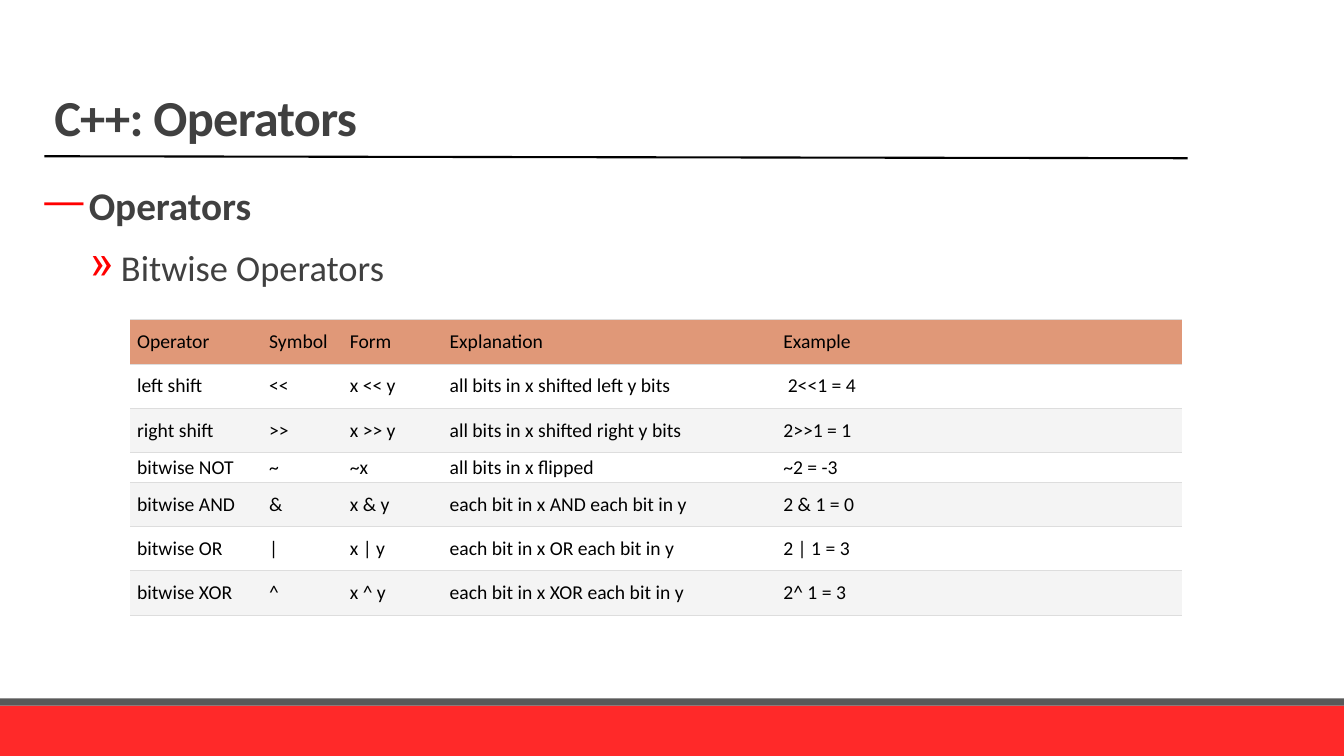
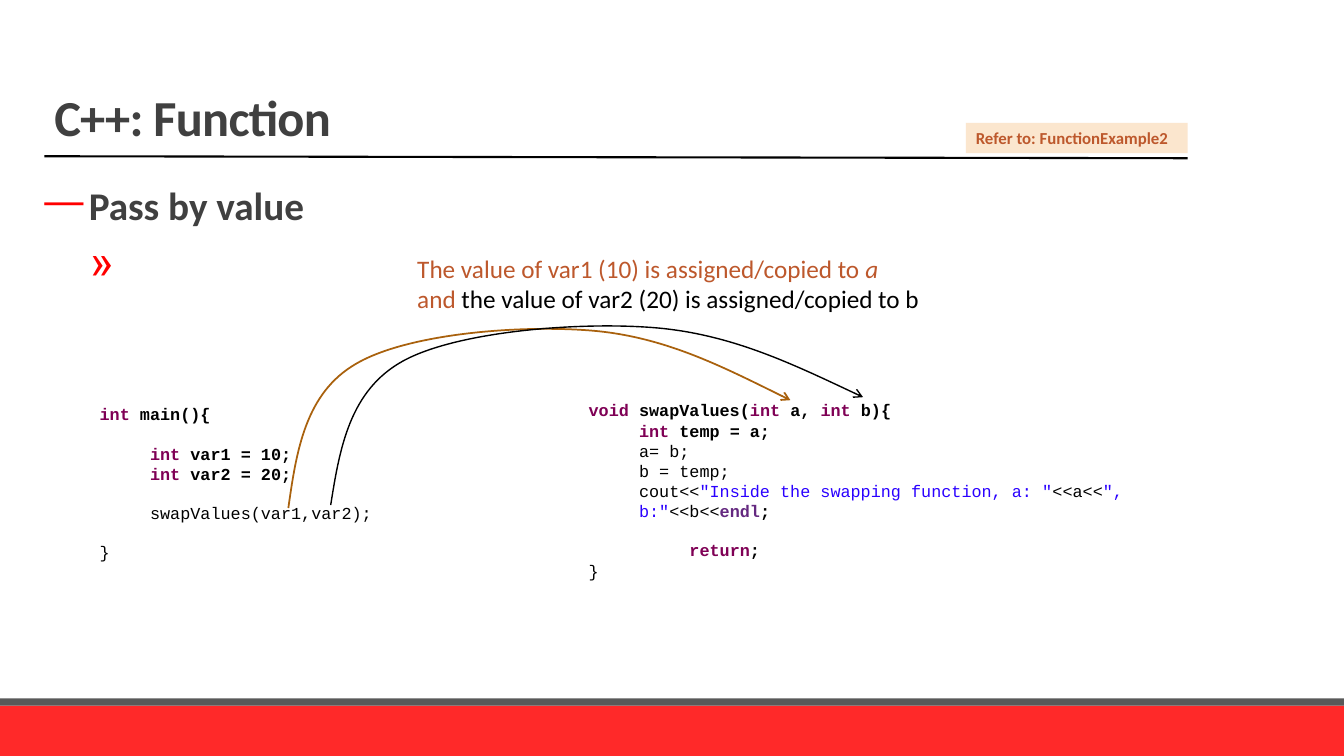
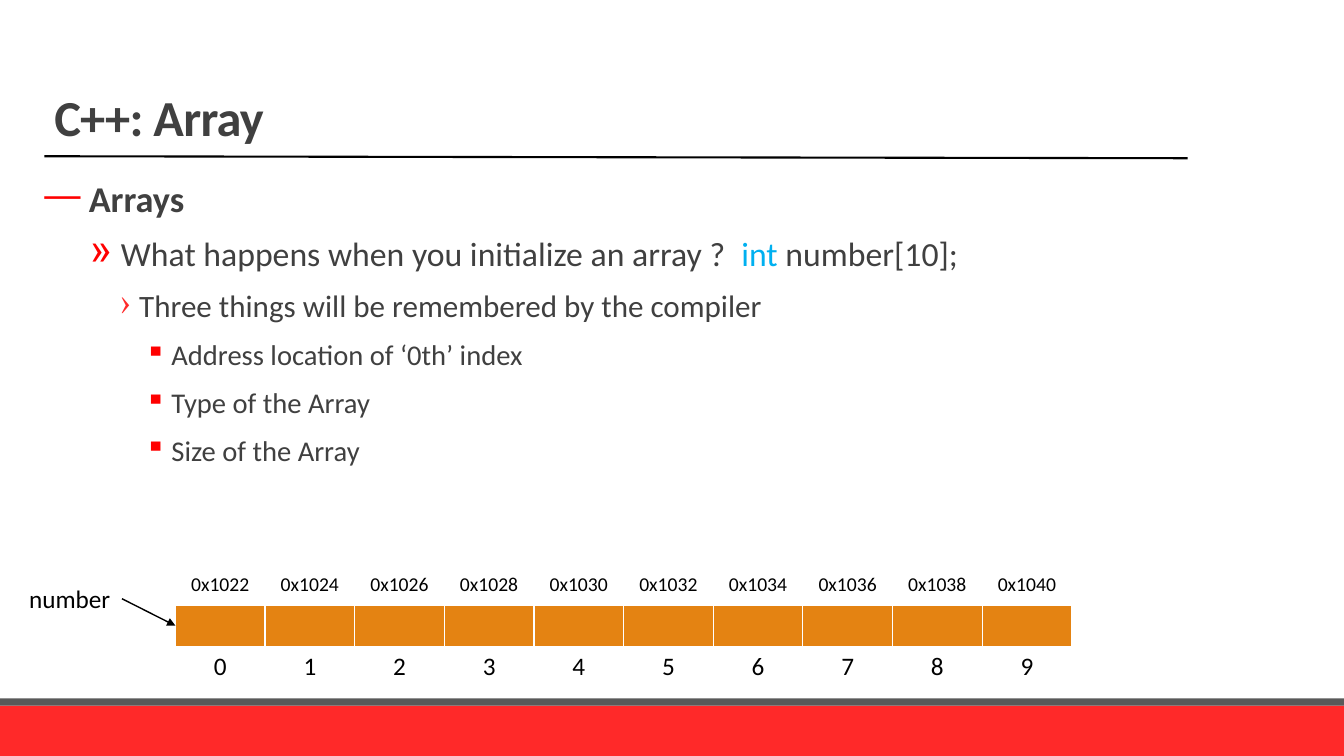
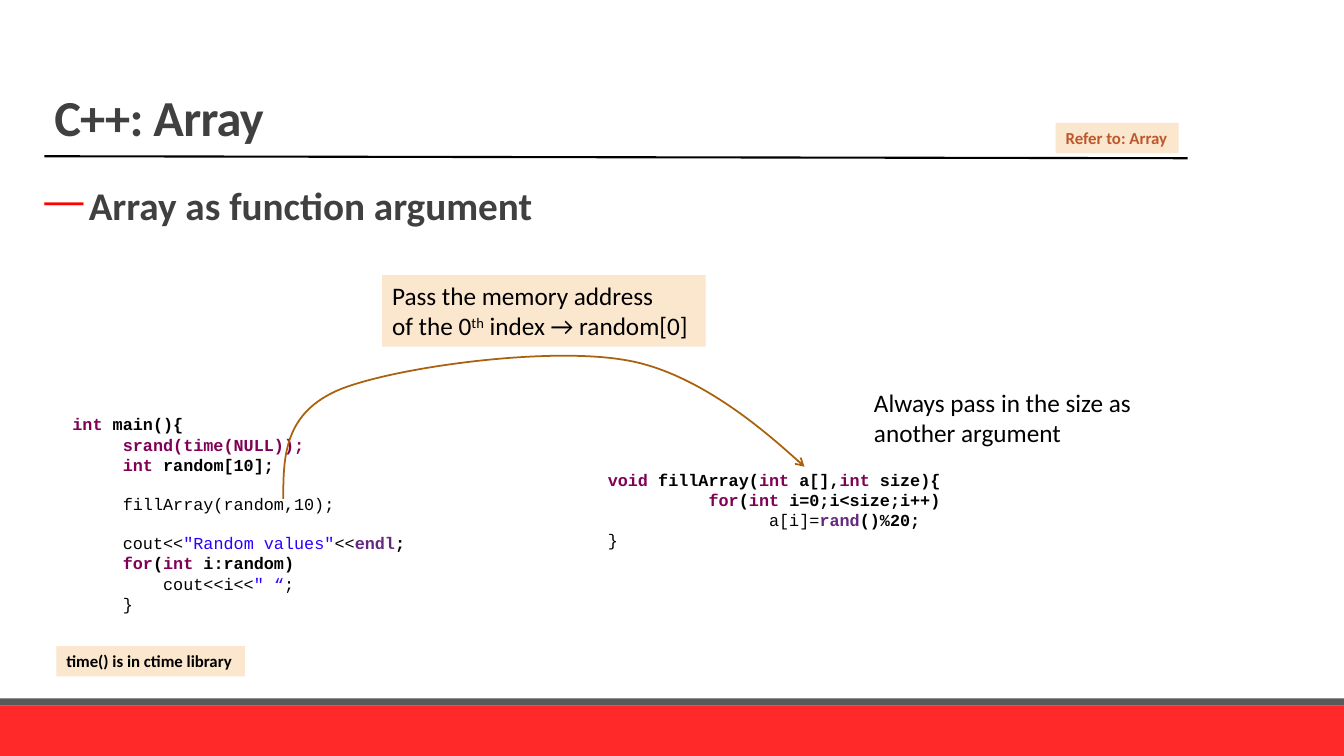
from lxml import etree
from pptx import Presentation
from pptx.dml.color import RGBColor
from pptx.enum.shapes import MSO_CONNECTOR, MSO_SHAPE
from pptx.enum.text import MSO_ANCHOR, MSO_AUTO_SIZE, PP_ALIGN
from pptx.oxml.ns import qn
from pptx.util import Inches, Pt

RECT, STRAIGHT = MSO_SHAPE.RECTANGLE, MSO_CONNECTOR.STRAIGHT
CENTER, LEFT = PP_ALIGN.CENTER, PP_ALIGN.LEFT
TOP, MIDDLE, BOTTOM = MSO_ANCHOR.TOP, MSO_ANCHOR.MIDDLE, MSO_ANCHOR.BOTTOM
FIT = MSO_AUTO_SIZE.SHAPE_TO_FIT_TEXT
NO_GRID = "{2D5ABB26-0587-4C30-8999-92F81FD0307C}"
W, H = 13.33, 7.5
CODE_LINE = 13.6

C = {
    "black": "000000", "white": "FFFFFF", "text": "404040", "red": "FF0000",
    "band": "FF2929", "strip": "595959", "rust": "BD582C", "cream": "FBE6CE",
    "brown": "A9610D", "orange": "E48312", "header": "E09878", "stripe": "F4F4F4",
    "grid": "DDDDDD", "sky": "00B0F0", "keyword": "7F0055", "string": "2A00FF",
    "name": "642880",
}

STYLES = {
    "title": dict(size=36, bold=True, color="text"),
    "body": dict(color="text"),
    "bold": dict(color="text", bold=True),
    "sky": dict(color="sky"),
    "cell": dict(size=14),
    "index": dict(size=18),
    "note": dict(size=18),
    "sup": dict(size=18),
    "rust": dict(size=18, color="rust"),
    "rust italic": dict(size=18, color="rust", italic=True),
    "tag": dict(size=12, bold=True, color="rust"),
    "black tag": dict(size=12, bold=True),
    "c": dict(size=12, face="Courier New"),
    "b": dict(size=12, face="Courier New", bold=True),
    "k": dict(size=12, face="Courier New", bold=True, color="keyword"),
    "s": dict(size=12, face="Courier New", color="string"),
    "n": dict(size=12, face="Courier New", bold=True, color="name"),
}

LEVELS = [
    dict(left=0.44, hang=0.44, mark="—", mark_color="red", mark_size=100, size=28),
    dict(left=0.76, hang=0.31, mark="»", mark_color="red", mark_size=120, size=26),
    dict(left=0.94, hang=0.19, mark="›", mark_color="band", mark_size=110, size=24),
    dict(left=1.26, hang=0.26, mark="▪", mark_color="red", mark_size=100, size=22),
]

OPERATORS = [
    ("Operator", "Symbol", "Form", "Explanation", "Example"),
    ("left shift", "<<", "x << y", "all bits in x shifted left y bits", " 2<<1 = 4"),
    ("right shift", ">>", "x >> y", "all bits in x shifted right y bits", "2>>1 = 1"),
    ("bitwise NOT", "~", "~x", "all bits in x flipped", "~2 = -3"),
    ("bitwise AND", "&", "x & y", "each bit in x AND each bit in y", "2 & 1 = 0"),
    ("bitwise OR", "|", "x | y", "each bit in x OR each bit in y", "2 | 1 = 3"),
    ("bitwise XOR", "^", "x ^ y", "each bit in x XOR each bit in y", "2^ 1 = 3"),
]
OPERATOR_COLS = [1.31, 0.8, 0.99, 3.31, 4.02]
OPERATOR_ROWS = [0.44, 0.44, 0.44, 0.24, 0.44, 0.44, 0.44]

SWAP_MAIN = [
    (0, 0, [("int", "k"), (" main(){", "b")]),
    (0.5, 1, [("int", "k"), (" var1 = 10;", "b")]),
    (0.5, 0, [("int", "k"), (" var2 = 20;", "b")]),
    (0.5, 1, [("swapValues(var1,var2);", "c")]),
    (0, 1, [("}", "c")]),
]
SWAP_VALUES = [
    (0, 0, [("void ", "k"), ("swapValues(", "b"), ("int", "k"), (" a, ", "b"),
            ("int", "k"), (" b){", "b")]),
    (0.5, 0, [("int", "k"), (" temp = a;", "b")]),
    (0.5, 0, [("a= b;", "c")]),
    (0.5, 0, [("b = temp;", "c")]),
    (0.5, 0, [("cout<<", "c"), ('"Inside the swapping function, a: "', "s"),
              ("<<a<<", "c"), ('", b:"', "s"), ("<<b<<", "c"), ("endl", "n"), (";", "b")]),
    (1, 1, [("return", "k"), (";", "b")]),
    (0, 0, [("}", "c")]),
]
RANDOM_MAIN = [
    (0, 0, [("int", "k"), (" main(){", "b")]),
    (0.5, 0, [("srand(time(NULL));", "k")]),
    (0.5, 0, [("int", "k"), (" random[10];", "b")]),
    (0.5, 1, [("fillArray(random,10);", "c")]),
    (0.5, 1, [("cout<<", "c"), ('"Random values"', "s"), ("<<", "c"), ("endl", "n"),
              (";", "b")]),
    (0.5, 0, [("for", "k"), ("(", "b"), ("int", "k"), (" i:random)", "b")]),
    (0.9, 0, [("cout<<i<<", "c"), ('" “', "s"), (";", "c")]),
    (0.5, 0, [("}", "c")]),
]
FILL_ARRAY = [
    (0, 0, [("void ", "k"), ("fillArray(", "b"), ("int", "k"), (" a[],", "b"),
            ("int", "k"), (" size){", "b")]),
    (1, 0, [("for", "k"), ("(", "b"), ("int ", "k"), ("i=0;i<size;i++)", "b")]),
    (1.6, 0, [("a[i]=", "c"), ("rand", "n"), ("()%20;", "b")]),
    (0, 0, [("}", "c")]),
]

VAR1_TO_A = [(2.86, 5.04), (2.94, 4.47), (3.03, 3.9), (3.53, 3.61), (4.04, 3.31),
             (5.15, 3.22), (5.87, 3.28), (6.59, 3.34), (7.21, 3.66), (7.84, 3.97)]
VAR2_TO_B = [(3.28, 5.01), (3.37, 4.44), (3.47, 3.87), (4, 3.58), (4.53, 3.29),
             (5.72, 3.19), (6.48, 3.25), (7.24, 3.31), (7.9, 3.63), (8.56, 3.94)]
RANDOM_TO_A = [(2.81, 4.95), (2.81, 4.52), (2.82, 4.09), (3.38, 3.86), (3.94, 3.64),
               (5.42, 3.44), (6.19, 3.57), (6.96, 3.69), (7.97, 4.62), (7.98, 4.63)]


def rgb(name):
    return RGBColor.from_string(C[name])


def sub(parent, tag, **attrs):
    return etree.SubElement(parent, qn(tag), {k: str(v) for k, v in attrs.items()})


def add_runs(p, runs, size=None):
    for text, style in runs:
        look = STYLES[style]
        r = p.add_run()
        r.text = text
        formats = dict(name=look.get("face", "Calibri"), size=Pt(look.get("size", size)),
                       bold=look.get("bold", False), italic=look.get("italic", False))
        for key, value in formats.items():
            setattr(r.font, key, value)
        r.font.color.rgb = rgb(look.get("color", "black"))
        if style == "sup":
            r._r.get_or_add_rPr().set("baseline", "30000")


def add_box(s, at, lines, anchor=TOP, wrap=True, fit=False, fill=None):
    box = s.shapes.add_textbox(*map(Inches, at))
    tf = box.text_frame
    tf.word_wrap, tf.vertical_anchor = wrap, anchor
    if fit:
        tf.auto_size = FIT
    if fill:
        box.fill.solid()
        box.fill.fore_color.rgb = rgb(fill)
    for i, runs in enumerate(lines):
        add_runs(tf.paragraphs[0] if i == 0 else tf.add_paragraph(), runs)
    return box


def add_note(s, at, lines, fill=None):
    return add_box(s, at, lines, wrap=False, fit=True, fill=fill)


def add_code(s, at, code):
    box = add_box(s, at, [runs for _, _, runs in code], fit=True)
    for p, (indent, gap, _) in zip(box.text_frame.paragraphs, code):
        p.space_before = Pt(gap * CODE_LINE)
        p._p.get_or_add_pPr().set("marL", str(Inches(indent)))


def add_body(s, items, height=5, scale=1, spacing=None):
    box = add_box(s, (0.44, 1.75, 11.72, height), [[] for _ in items])
    tf = box.text_frame
    tf.margin_left = tf.margin_right = 0
    for p, (level, runs) in zip(tf.paragraphs, items):
        look = LEVELS[level]
        add_runs(p, runs, round(look["size"] * scale, 1))
        p.level, p.line_spacing = level, spacing
        p.space_before = p.space_after = Pt(6)
        pPr = p._p.get_or_add_pPr()
        pPr.set("marL", str(Inches(look["left"])))
        pPr.set("indent", str(-Inches(look["hang"])))
        sub(sub(pPr, "a:buClr"), "a:srgbClr", val=C[look["mark_color"]])
        sub(pPr, "a:buSzPct", val=look["mark_size"] * 1000)
        sub(pPr, "a:buChar", char=look["mark"])


def style_line(shape, color, width, head=None):
    shape.line.color.rgb = rgb(color)
    shape.line.width = Pt(width)
    if head:
        sub(shape.line._get_or_add_ln(), "a:tailEnd", type=head)


def add_line(s, start, end, width, head=None):
    line = s.shapes.add_connector(STRAIGHT, *map(Inches, start + end))
    style_line(line, "black", width, head)
    sub(line._element.spPr, "a:effectLst")
    return line


def add_curve(s, points, color, width):
    emu = [(Inches(x), Inches(y)) for x, y in points]
    builder = s.shapes.build_freeform(*emu[0])
    builder.add_line_segments(emu[1:], close=False)
    curve = builder.convert_to_shape()
    outline = curve._element.find(".//" + qn("a:path"))
    steps = outline.findall(qn("a:lnTo"))
    for i in range(0, len(steps), 3):
        bezier = sub(outline, "a:cubicBezTo")
        for step in steps[i:i + 3]:
            bezier.append(step[0])
            outline.remove(step)
    curve.fill.background()
    curve.shadow.inherit = False
    style_line(curve, color, width, "arrow")


def add_border(cell, sides, color, width):
    tcPr = cell._tc.get_or_add_tcPr()
    for i, side in enumerate(sides):
        ln = etree.Element(qn("a:ln" + side), {"w": str(Pt(width))})
        sub(sub(ln, "a:solidFill"), "a:srgbClr", val=C[color])
        tcPr.insert(i, ln)


def add_grid(s, at, cols, rows, texts, style, fills, align=LEFT, margins=None, border=None):
    size = (sum(cols), sum(rows))
    table = s.shapes.add_table(len(rows), len(cols), *map(Inches, at + size)).table
    table.first_row = table.horz_banding = False
    table._tbl.tblPr.find(qn("a:tableStyleId")).text = NO_GRID
    for col, width in zip(table.columns, cols):
        col.width = Inches(width)
    for row, height, values, fill in zip(table.rows, rows, texts, fills):
        row.height = Inches(height)
        for cell, text in zip(row.cells, values):
            cell.vertical_anchor = MIDDLE
            if margins:
                cell.margin_left = cell.margin_right = Inches(margins[0])
                cell.margin_top = cell.margin_bottom = Inches(margins[1])
            if fill:
                cell.fill.solid()
                cell.fill.fore_color.rgb = rgb(fill)
            else:
                cell.fill.background()
            if border:
                add_border(cell, *border)
            p = cell.text_frame.paragraphs[0]
            p.alignment = align
            if text:
                add_runs(p, [(text, style)])


def add_frame(s, layout):
    for top, height, color in ((7, 0.5, "band"), (6.93, 0.07, "strip")):
        band = s.shapes.add_shape(RECT, 0, Inches(top), Inches(W), Inches(height))
        band.fill.solid()
        band.fill.fore_color.rgb = rgb(color)
        band.line.fill.background()
        band.shadow.inherit = False
    add_line(s, (0.44, 1.55), (11.78, 1.57), 1.5)
    tree = layout.shapes._spTree
    for ph in list(layout.placeholders):
        tree.remove(ph._element)
    for shape in list(s.shapes):
        tree.append(shape._element)


def add_title(s, text):
    box = add_box(s, (0.44, 0, 11.33, 1.51), [[(text, "title")]], anchor=BOTTOM)
    p = box.text_frame.paragraphs[0]
    p.line_spacing = 0.85
    p.runs[0]._r.get_or_add_rPr().set("spc", "-50")


def operators(s):
    add_body(s, [(0, [("Operators", "bold")]), (1, [("Bitwise Operators", "body")])])
    fills = ["header"] + ["white", "stripe"] * 3
    add_grid(s, (1.29, 3.17), OPERATOR_COLS, OPERATOR_ROWS, OPERATORS, "cell", fills,
             margins=(0.07, 0.03), border=("TB", "grid", 0.6))


def pass_by_value(s):
    add_body(s, [(0, [("Pass by value", "bold")]), (1, [("\t", "body")])])
    add_code(s, (0.89, 3.96, 4.79, 1.72), SWAP_MAIN)
    add_code(s, (5.74, 3.92, 6.67, 1.92), SWAP_VALUES)
    add_curve(s, VAR1_TO_A, "brown", 1.25)
    add_curve(s, VAR2_TO_B, "black", 1)
    add_note(s, (4.04, 2.46, 5.23, 0.71), [
        [("The value of var1 (10) is assigned/copied to ", "rust"), ("a", "rust italic")],
        [("and ", "rust"), ("the value of var2 (20) is assigned/copied to b", "note")]])
    add_note(s, (9.58, 1.22, 2.2, 0.3), [[("Refer to: FunctionExample2", "tag")]], "cream")


def array_memory(s):
    add_body(s, [
        (0, [("Arrays", "bold")]),
        (1, [("What happens when you initialize an array ?  ", "body"), ("int ", "sky"),
             ("number[10];", "body")]),
        (2, [("Three things will be remembered by the compiler", "body")]),
        (3, [("Address location of ‘0th’ index", "body")]),
        (3, [("Type of the Array", "body")]),
        (3, [("Size of the Array", "body")]),
    ], height=3.1, scale=0.926, spacing=0.9)
    count, left, top, step = 10, 1.74, 5.6, 0.405
    strips = [
        ([f"0x{1022 + 2 * i}" for i in range(count)], "cell", None, None),
        ([""] * count, "cell", "orange", ("LRTB", "white", 1)),
        ([str(i) for i in range(count)], "index", None, None),
    ]
    for i, (texts, style, fill, border) in enumerate(strips):
        add_grid(s, (left, top + i * step), [0.889] * count, [step], [texts], style,
                 [fill], align=CENTER, border=border)
    label = add_note(s, (0.19, 5.74, 1.02, 0.4), [[("number", "note")]])
    pointer = add_line(s, (1.21, 5.94), (left, top + 1.5 * step), 1, "triangle")
    pointer.begin_connect(label, 3)


def array_argument(s):
    add_body(s, [(0, [("Array as function argument", "bold")])])
    add_code(s, (0.62, 4.06, 3.63, 2.12), RANDOM_MAIN)
    add_code(s, (5.93, 4.61, 3.94, 0.91), FILL_ARRAY)
    add_curve(s, RANDOM_TO_A, "brown", 1.25)
    add_note(s, (3.79, 2.73, 3.21, 0.71), [
        [("Pass the memory address", "note")],
        [("of the 0", "note"), ("th", "sup"), (" index → random[0]", "note")]], "cream")
    add_note(s, (8.57, 3.79, 2.84, 0.71), [
        [("Always pass in the size as", "note")], [("another argument", "note")]])
    add_note(s, (10.47, 1.22, 1.22, 0.3), [[("Refer to: Array", "tag")]], "cream")
    add_note(s, (0.56, 6.41, 1.87, 0.3), [[("time() is in ctime library", "black tag")]],
             "cream")


SLIDES = [("C++: Operators", operators), ("C++: Function", pass_by_value),
          ("C++: Array", array_memory), ("C++: Array", array_argument)]


def main():
    prs = Presentation()
    prs.slide_width, prs.slide_height = Inches(W), Inches(H)
    blank = prs.slide_layouts[6]
    for i, (title, fill_slide) in enumerate(SLIDES):
        s = prs.slides.add_slide(blank)
        if i == 0:
            add_frame(s, blank)
        add_title(s, title)
        fill_slide(s)
    prs.save("out.pptx")


if __name__ == "__main__":
    main()
